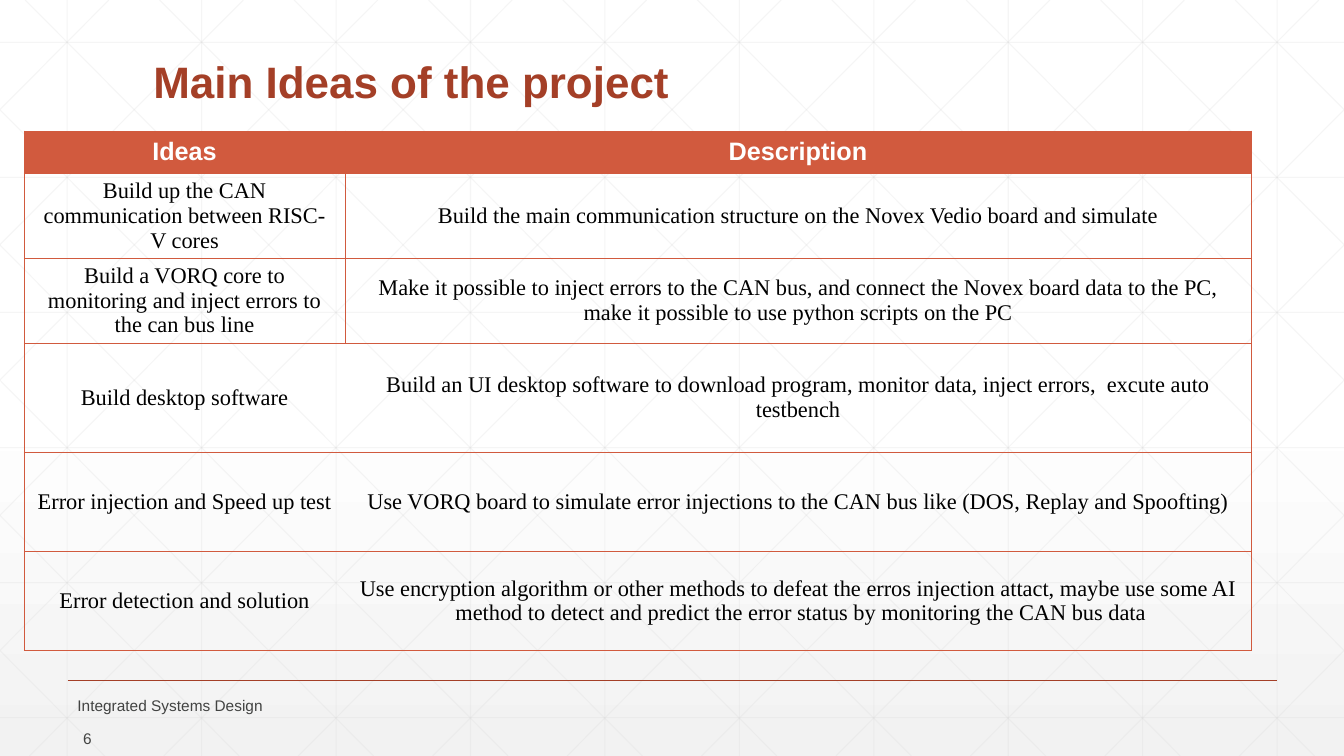
"""Build the slide that lists the main ideas of the project."""
from lxml.etree import SubElement
from pptx import Presentation
from pptx.dml.color import RGBColor
from pptx.enum.shapes import MSO_CONNECTOR
from pptx.enum.text import MSO_ANCHOR, MSO_AUTO_SIZE, PP_ALIGN
from pptx.oxml.ns import qn
from pptx.util import Inches, Pt

TITLE = "Main Ideas of the project"
ROWS = [
    ("Ideas", "Description"),
    ("Build up the CAN communication between RISC-V cores",
     "Build the main communication structure on the Novex Vedio board and simulate"),
    ("Build a VORQ core to monitoring and inject errors to the can bus line",
     "Make it possible to inject errors to the CAN bus, and connect the Novex board data "
     "to the PC, make it possible to use python scripts on the PC"),
    ("Build desktop software",
     "Build an UI desktop software to download program, monitor data, inject errors,  "
     "excute auto testbench"),
    ("Error injection and Speed up test",
     "Use VORQ board to simulate error injections to the CAN bus like "
     "(DOS, Replay and Spoofting)"),
    ("Error detection and solution",
     "Use encryption algorithm or other methods to defeat the erros injection attact, "
     "maybe use some AI  method to detect and predict the error status by monitoring "
     "the CAN bus data"),
]
WIDTHS = [3.18, 8.99]
HEIGHTS = [0.42, 0.59, 0.59, 1.09, 0.98, 0.98]
FOOTERS = [
    ("Integrated Systems Design", (0.67, 6.88, 6.7, 0.24), PP_ALIGN.LEFT),
    ("6", (0.01, 7.21, 1, 0.24), PP_ALIGN.RIGHT),
]
COLORS = {"white": "FFFFFF", "fade": "F2F2F2", "grid": "D9D9D9", "rust": "A43F27",
          "brick": "D15A3E", "black": "000000", "gray": "424342"}
FONTS = {
    "title": {"name": "Arial", "size": Pt(31.4), "bold": True, "color": "rust"},
    "head": {"name": "Arial", "size": Pt(18), "bold": True, "color": "white"},
    "body": {"name": "Times New Roman", "size": Pt(16), "bold": False, "color": "black"},
    "foot": {"name": "Arial", "size": Pt(11), "bold": False, "color": "gray"},
}
WIDE, HIGH = 13.33, 7.5
STEP = 4 / 3
SLOPE = 1.006
PAD = {"margin_left": Inches(0.13), "margin_right": Inches(0.13),
       "margin_top": Inches(0.05), "margin_bottom": Inches(0.05),
       "vertical_anchor": MSO_ANCHOR.MIDDLE}
FRAME = {"word_wrap": True, "auto_size": MSO_AUTO_SIZE.NONE,
         "vertical_anchor": MSO_ANCHOR.MIDDLE}


def rgb(name):
    return RGBColor.from_string(COLORS[name])


def apply(item, values):
    for key, value in values.items():
        setattr(item, key, value)


def write(frame, text, kind, align):
    para = frame.paragraphs[0]
    para.alignment = align
    run = para.add_run()
    run.text = text
    for key, value in FONTS[kind].items():
        if key == "color":
            run.font.color.rgb = rgb(value)
        else:
            setattr(run.font, key, value)
    return para


def rule(shapes, start, end, color, width, alpha=None):
    line = shapes.add_connector(MSO_CONNECTOR.STRAIGHT, *map(Inches, start + end))
    line.line.color.rgb = rgb(color)
    line.line.width = Pt(width)
    props = line._element.spPr
    if alpha:
        tone = next(props.iter(qn("a:srgbClr")))
        SubElement(tone, qn("a:alpha"), val=str(alpha * 1000))
    SubElement(props, qn("a:effectLst"))


def slant(x):
    """Return a falling diagonal from x on the top edge, cut to the slide."""
    left, right = max(x, 0), min(x + HIGH / SLOPE, WIDE)
    return (left, (left - x) * SLOPE), (right, (right - x) * SLOPE)


def lattice(slide):
    ends = [((x, 0), (x, HIGH)) for x in (STEP * (i + 0.5) for i in range(10))]
    ends += [((0, y), (WIDE, y)) for y in (0.42 + 1.34 * i for i in range(6))]
    falls = [slant(0.25 + STEP * i) for i in range(-5, 10)]
    ends += falls
    ends += [((WIDE - a, b), (WIDE - c, d)) for (a, b), (c, d) in falls]
    group = slide.shapes.add_group_shape()
    for start, end in ends:
        rule(group.shapes, start, end, "grid", 0.75, 25)


def border(cell, hidden):
    props = cell._tc.get_or_add_tcPr()
    for side in "LRTB":
        edge = SubElement(props, qn(f"a:ln{side}"), w=str(Pt(0.5)))
        if side in hidden:
            SubElement(edge, qn("a:noFill"))
        else:
            fill = SubElement(edge, qn("a:solidFill"))
            SubElement(fill, qn("a:srgbClr"), val=COLORS["brick"])


def ideas(slide):
    box = map(Inches, (0.24, 1.3, sum(WIDTHS), sum(HEIGHTS)))
    table = slide.shapes.add_table(len(ROWS), len(WIDTHS), *box).table
    apply(table, {"first_row": False, "horz_banding": False})
    for col, width in zip(table.columns, WIDTHS):
        col.width = Inches(width)
    for r, texts in enumerate(ROWS):
        table.rows[r].height = Inches(HEIGHTS[r])
        for c, text in enumerate(texts):
            cell = table.cell(r, c)
            apply(cell, PAD)
            border(cell, "RL"[c] if r > 2 else "")
            if r:
                cell.fill.background()
            else:
                cell.fill.solid()
                cell.fill.fore_color.rgb = rgb("brick")
            write(cell.text_frame, text, "body" if r else "head", PP_ALIGN.CENTER)


def main():
    deck = Presentation()
    deck.slide_width, deck.slide_height = Inches(WIDE), Inches(HIGH)
    slide = deck.slides.add_slide(deck.slide_layouts[5])
    back = slide.background.fill
    back.gradient()
    back.gradient_angle = 270
    for stop, place, name in zip(back.gradient_stops, (0.53, 1), ("white", "fade")):
        stop.position = place
        stop.color.rgb = rgb(name)

    lattice(slide)
    rule(slide.shapes, (0.67, 6.75), (12.67, 6.75), "rust", 1)

    title = slide.shapes.title
    apply(title, {"left": Inches(1.42), "top": Inches(0.55),
                  "width": Inches(10.5), "height": Inches(0.57)})
    apply(title.text_frame, FRAME)
    write(title.text_frame, TITLE, "title", PP_ALIGN.LEFT).line_spacing = 0.9
    slide.shapes._spTree.append(title._element)

    ideas(slide)
    for text, box, align in FOOTERS:
        frame = slide.shapes.add_textbox(*map(Inches, box)).text_frame
        apply(frame, FRAME)
        write(frame, text, "foot", align)
    deck.save("out.pptx")


if __name__ == "__main__":
    main()
